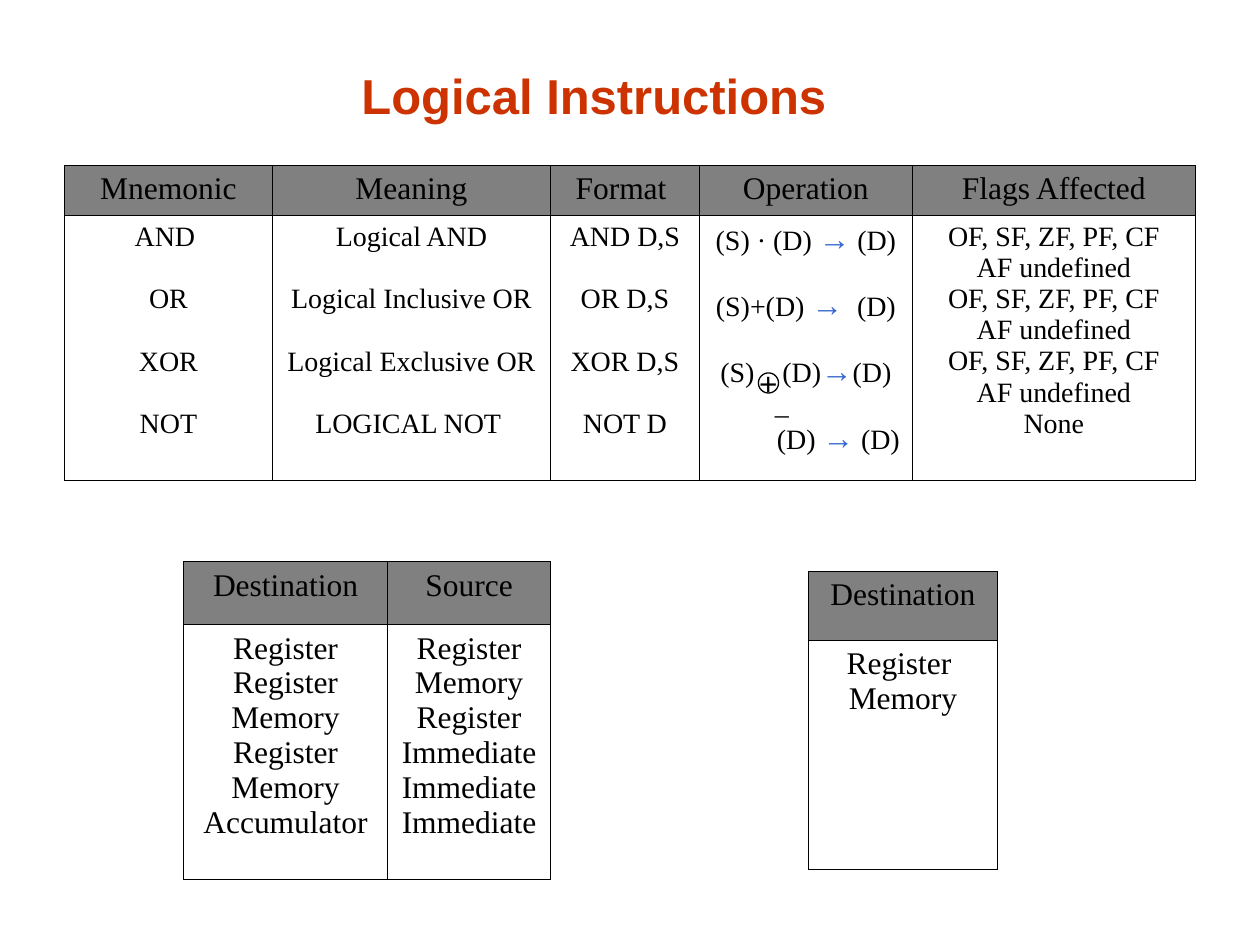
import pptx
import pptx.dml.color
import pptx.enum.shapes
import pptx.enum.text
import pptx.oxml
import pptx.oxml.ns
import pptx.util

Pt = pptx.util.Pt
Align = pptx.enum.text.PP_ALIGN
Anchor = pptx.enum.text.MSO_ANCHOR

COLORS = {
    "title": "CC3300",
    "text": "000000",
    "arrow": "3366CC",
    "header": "808080",
    "body": "FFFFFF",
    "border": "000000",
}
SERIF = "Times New Roman"
SANS = "Arial"
BLANK_LINE = 17.8

FLAGS = ["OF, SF, ZF, PF, CF", "AF undefined"]
INSTRUCTION_HEADERS = ["Mnemonic", "Meaning", "Format ", "Operation", "Flags Affected"]
INSTRUCTION_COLUMNS = [
    ["AND ", "OR", "XOR", "NOT"],
    ["Logical AND", "Logical Inclusive OR", "Logical Exclusive OR", "LOGICAL NOT "],
    ["AND D,S", "OR D,S", "XOR D,S", "NOT D"],
    [
        ["(S) · (D) ", "→", " (D)"],
        ["(S)+(D) ", "→", 4, "(D)"],
        ["(S)", 12, "(D)", "→", "(D)"],
        "_",
        ["(D) ", "→", " (D)"],
    ],
    FLAGS * 3 + ["None"],
]
OPERAND_COLUMNS = [
    ["Register", "Register", "Memory", "Register", "Memory", "Accumulator"],
    ["Register", "Memory", "Register", "Immediate", "Immediate", "Immediate"],
]


def rgb(name):
    return pptx.dml.color.RGBColor.from_string(COLORS[name])


def style_font(font, face, size, color, bold=False):
    font.name = face
    font.size = Pt(size)
    font.bold = bold
    font.color.rgb = rgb(color)


def write_pieces(para, pieces, size):
    for piece in pieces:
        span = para.add_run()
        if piece == "→":
            span.text = piece
            style_font(span.font, SANS, 18, "arrow")
            continue
        is_gap = not isinstance(piece, str)
        span.text = " " if is_gap else piece
        style_font(span.font, SERIF, size, "text")
        if is_gap:
            span.font._element.set("spc", str(piece * 100))


def write_lines(frame, lines, size, gap=0):
    for index, line in enumerate(lines):
        para = frame.add_paragraph() if index else frame.paragraphs[0]
        para.alignment = Align.CENTER
        if index and gap:
            para.space_before = Pt(gap)
        write_pieces(para, [line] if isinstance(line, str) else line, size)


def draw_borders(cell):
    properties = cell._tc.get_or_add_tcPr()
    for side in ("lnL", "lnR", "lnT", "lnB"):
        properties.append(pptx.oxml.parse_xml(
            f'<a:{side} {pptx.oxml.ns.nsdecls("a")} w="5715"><a:solidFill>'
            f'<a:srgbClr val="{COLORS["border"]}"/></a:solidFill></a:{side}>'
        ))


def fill_cell(cell, color):
    draw_borders(cell)
    cell.fill.solid()
    cell.fill.fore_color.rgb = rgb(color)


def add_column_table(page, left, top, widths, heights, headers, columns, size, gaps):
    table = page.shapes.add_table(
        2, len(widths), Pt(left), Pt(top), Pt(sum(widths)), Pt(sum(heights))
    ).table
    table.first_row = False
    table.horz_banding = False
    for row, height in zip(table.rows, heights):
        row.height = Pt(height)
    for index, width in enumerate(widths):
        table.columns[index].width = Pt(width)
        header, body = table.cell(0, index), table.cell(1, index)
        fill_cell(header, "header")
        fill_cell(body, "body")
        write_lines(header.text_frame, [headers[index]], 18)
        write_lines(body.text_frame, columns[index], size, gaps[index])
    return table


def align_negation(cell):
    bar, operation = cell.text_frame.paragraphs[-2:]
    bar.alignment = Align.LEFT
    bar._p.get_or_add_pPr().set("marL", str(Pt(36)))
    operation.alignment = Align.RIGHT
    for para in (bar, operation):
        para.space_before = Pt(0)


def add_title(page, text):
    box = page.shapes.title
    box.left, box.top, box.width, box.height = Pt(199.4), Pt(33.8), Pt(280), Pt(41)
    frame = box.text_frame
    frame.text = text
    frame.margin_left = frame.margin_right = Pt(0)
    frame.word_wrap = False
    frame.auto_size = pptx.enum.text.MSO_AUTO_SIZE.NONE
    frame.vertical_anchor = Anchor.TOP
    para = frame.paragraphs[0]
    para.alignment = Align.CENTER
    style_font(para.runs[0].font, SANS, 28, "title", True)


def add_xor_sign(page):
    circle = page.shapes.add_shape(
        pptx.enum.shapes.MSO_SHAPE.OVAL, Pt(433.4), Pt(213.1), Pt(11.5), Pt(11.5)
    )
    circle.shadow.inherit = False
    circle.fill.solid()
    circle.fill.fore_color.rgb = rgb("body")
    circle.line.color.rgb = rgb("border")
    circle.line.width = Pt(0.75)
    frame = circle.text_frame
    frame.text = "+"
    frame.word_wrap = False
    frame.vertical_anchor = Anchor.MIDDLE
    frame.paragraphs[0].alignment = Align.CENTER
    style_font(frame.paragraphs[0].runs[0].font, SANS, 18, "text")


def main():
    deck = pptx.Presentation()
    deck.slide_width, deck.slide_height = Pt(720), Pt(540)
    page = deck.slides.add_slide(deck.slide_layouts[5])
    add_title(page, "Logical Instructions")
    instructions = add_column_table(
        page, 36.8, 94.4, [118.9, 158.9, 85.1, 121.7, 161.7], [28.6, 151.4],
        INSTRUCTION_HEADERS, INSTRUCTION_COLUMNS, 16, [BLANK_LINE] * 4 + [0],
    )
    align_negation(instructions.cell(1, 3))
    add_xor_sign(page)
    add_column_table(
        page, 104.9, 320.9, [116.6, 93.1], [36, 145.7],
        ["Destination", "Source"], OPERAND_COLUMNS, 18, [0, 0],
    )
    add_column_table(
        page, 462, 326.6, [108], [39.4, 130.9],
        ["Destination"], [["Register ", "Memory"]], 18, [0],
    )
    deck.save("out.pptx")


if __name__ == "__main__":
    main()
